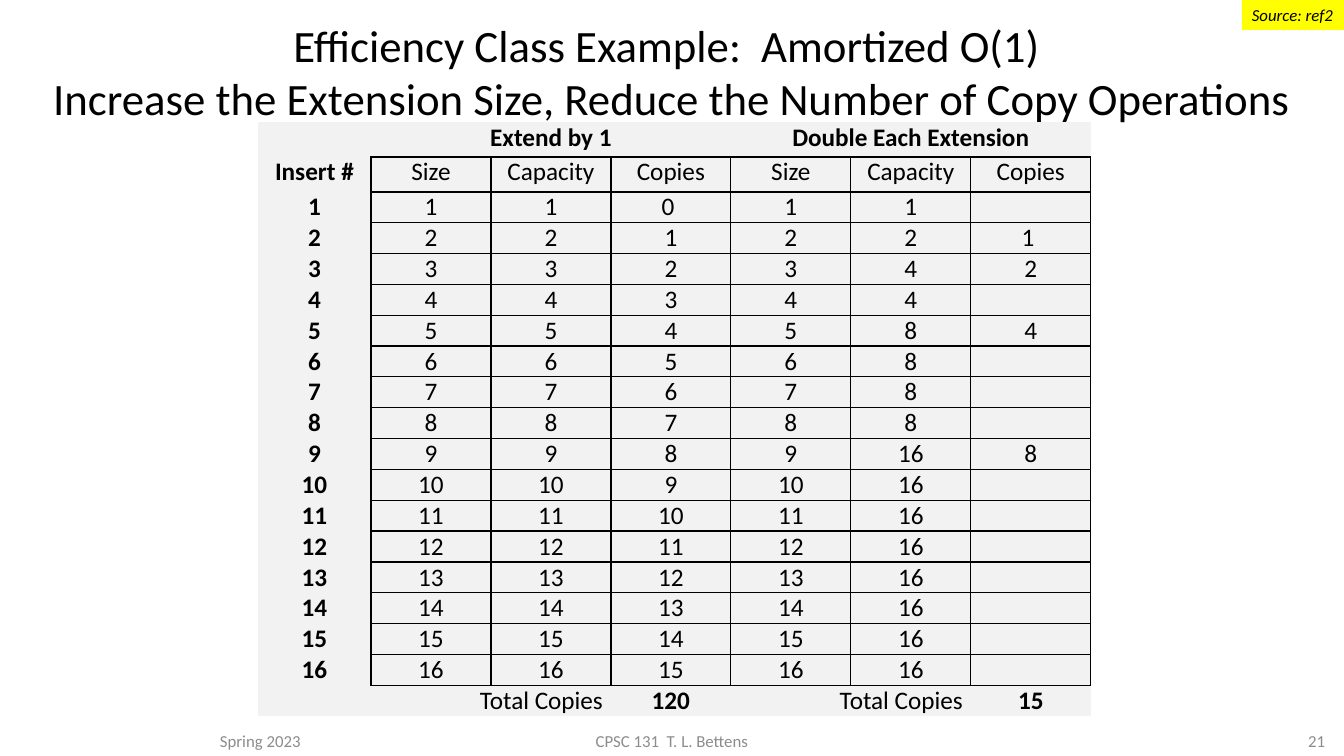
from dataclasses import dataclass
from lxml.etree import SubElement
from pptx import Presentation
from pptx.dml.color import RGBColor
from pptx.enum.shapes import MSO_SHAPE
from pptx.enum.text import MSO_ANCHOR, MSO_AUTO_SIZE, PP_ALIGN
from pptx.oxml.ns import qn
from pptx.util import Emu, Pt

LEFT, MID, RIGHT = PP_ALIGN.LEFT, PP_ALIGN.CENTER, PP_ALIGN.RIGHT
COUNT = 16
SIDES = {"a:lnL": (0, -1), "a:lnR": (0, 1), "a:lnT": (-1, 0), "a:lnB": (1, 0)}


@dataclass(frozen=True)
class Theme:
    font: str = "Calibri"
    ink: str = "000000"
    grey: str = "8C8C8C"
    pale: str = "F2F2F2"
    tag: str = "FFFF00"
    head: int = 32
    body: int = 18
    small: int = 12
    line: int = 1


def px(size):
    return Emu(round(size * 914400 / 100.8))


def framed(row, col):
    return 1 <= row <= COUNT + 1 and col >= 1


class Deck:
    def __init__(self, theme):
        self.theme = theme
        self.file = Presentation()
        self.file.slide_width, self.file.slide_height = px(1344), px(756)
        self.slide = self.file.slides.add_slide(self.file.slide_layouts[5])
        self.shapes = self.slide.shapes

    def style(self, font, size, color=None, bold=False, italic=False):
        font.name, font.size = self.theme.font, Pt(size)
        font.bold, font.italic = bold, italic
        font.color.rgb = RGBColor.from_string(color or self.theme.ink)

    def text(self, frame, words, align, size, **look):
        para = frame.paragraphs[0]
        para.alignment = align
        for part, line in enumerate(words.split("\n")):
            if part:
                para.add_line_break()
            run = para.add_run()
            run.text = line
            self.style(run.font, size, **look)

    def title(self, box, words):
        shape = self.shapes.title
        shape.left, shape.top, shape.width, shape.height = map(px, box)
        frame = shape.text_frame
        frame.auto_size = MSO_AUTO_SIZE.NONE
        frame.vertical_anchor = MSO_ANCHOR.MIDDLE
        self.text(frame, words, MID, self.theme.head)

    def label(self, box, words):
        shape = self.shapes.add_shape(MSO_SHAPE.RECTANGLE, *map(px, box))
        shape.shadow.inherit = False
        shape.fill.solid()
        shape.fill.fore_color.rgb = RGBColor.from_string(self.theme.tag)
        shape.line.fill.background()
        shape.text_frame.word_wrap = False
        self.text(shape.text_frame, words, LEFT, self.theme.small, italic=True)

    def footer(self, left, width, words, align):
        frame = self.shapes.add_textbox(*map(px, (left, 701, width, 55))).text_frame
        frame.word_wrap = True
        frame.vertical_anchor = MSO_ANCHOR.BOTTOM
        self.text(frame, words, align, self.theme.small, color=self.theme.grey)

    def edges(self, cell, row, col):
        props = cell._tc.get_or_add_tcPr()
        for side, (down, across) in SIDES.items():
            line = SubElement(props, qn(side), w=str(Pt(self.theme.line)))
            if framed(row, col) or framed(row + down, col + across):
                fill = SubElement(line, qn("a:solidFill"))
                SubElement(fill, qn("a:srgbClr"), val=self.theme.ink)
            else:
                SubElement(line, qn("a:noFill"))

    def cell(self, cell, row, col, words):
        self.edges(cell, row, col)
        cell.fill.solid()
        cell.fill.fore_color.rgb = RGBColor.from_string(self.theme.pale)
        cell.margin_left = cell.margin_right = px(8)
        cell.margin_top = cell.margin_bottom = 0
        if words == "":
            self.style(cell.text_frame.paragraphs[0].font, self.theme.body)
            return
        total = words == "Total Copies"
        bold = not total and (col == 0 or not 1 <= row <= COUNT + 1)
        align = RIGHT if total else MID
        self.text(cell.text_frame, str(words), align, self.theme.body, bold=bold)

    def table(self, box, wide, tall, rows, spans):
        grid = self.shapes.add_table(len(rows), len(wide), *map(px, box)).table
        grid.first_row = grid.horz_banding = False
        for col, width in zip(grid.columns, wide):
            col.width = px(width)
        for row, height in zip(grid.rows, tall):
            row.height = px(height)
        for row, first, last in spans:
            grid.cell(row, first).merge(grid.cell(row, last))
        for row, texts in enumerate(rows):
            for col, words in enumerate(texts):
                self.cell(grid.cell(row, col), row, col, words)


def insert(num):
    room = 1 << (num - 1).bit_length()
    moved = num - 1
    grown = moved > 0 and moved & (moved - 1) == 0
    slow = "0 " if num == 1 else moved
    fast = "1 " if num == 2 else moved if grown else ""
    return [num, num, num, slow, num, room, fast]


def main():
    deck = Deck(Theme())
    deck.title((17, 8, 1310, 126),
               "Efficiency Class Example:  Amortized O(1) \n"
               "Increase the Extension Size, Reduce the Number of Copy Operations")
    body = [insert(num) for num in range(1, COUNT + 1)]
    slow, fast = (sum(int(row[col] or 0) for row in body) for col in (3, 6))
    rows = [
        ["", "Extend by 1", "", "", "Double Each Extension", "", ""],
        ["Insert #"] + ["Size", "Capacity", "Copies"] * 2,
        *body,
        ["", "Total Copies", "", slow, "Total Copies", "", fast],
    ]
    wide = [113] + [120] * 6
    tall = [35, 35] + [31 if num % 4 == 3 else 30 for num in range(COUNT + 1)]
    last = len(rows) - 1
    spans = [(0, 1, 3), (0, 4, 6), (last, 1, 2), (last, 4, 5)]
    deck.table((258, 122, sum(wide), sum(tall)), wide, tall, rows, spans)
    deck.label((1242, 0, 102, 30), "Source: ref2")
    deck.footer(210, 235, "Spring 2023", LEFT)
    deck.footer(445, 454, "CPSC 131  T. L. Bettens", MID)
    deck.footer(1033, 302, "21", RIGHT)
    deck.file.save("out.pptx")


if __name__ == "__main__":
    main()
